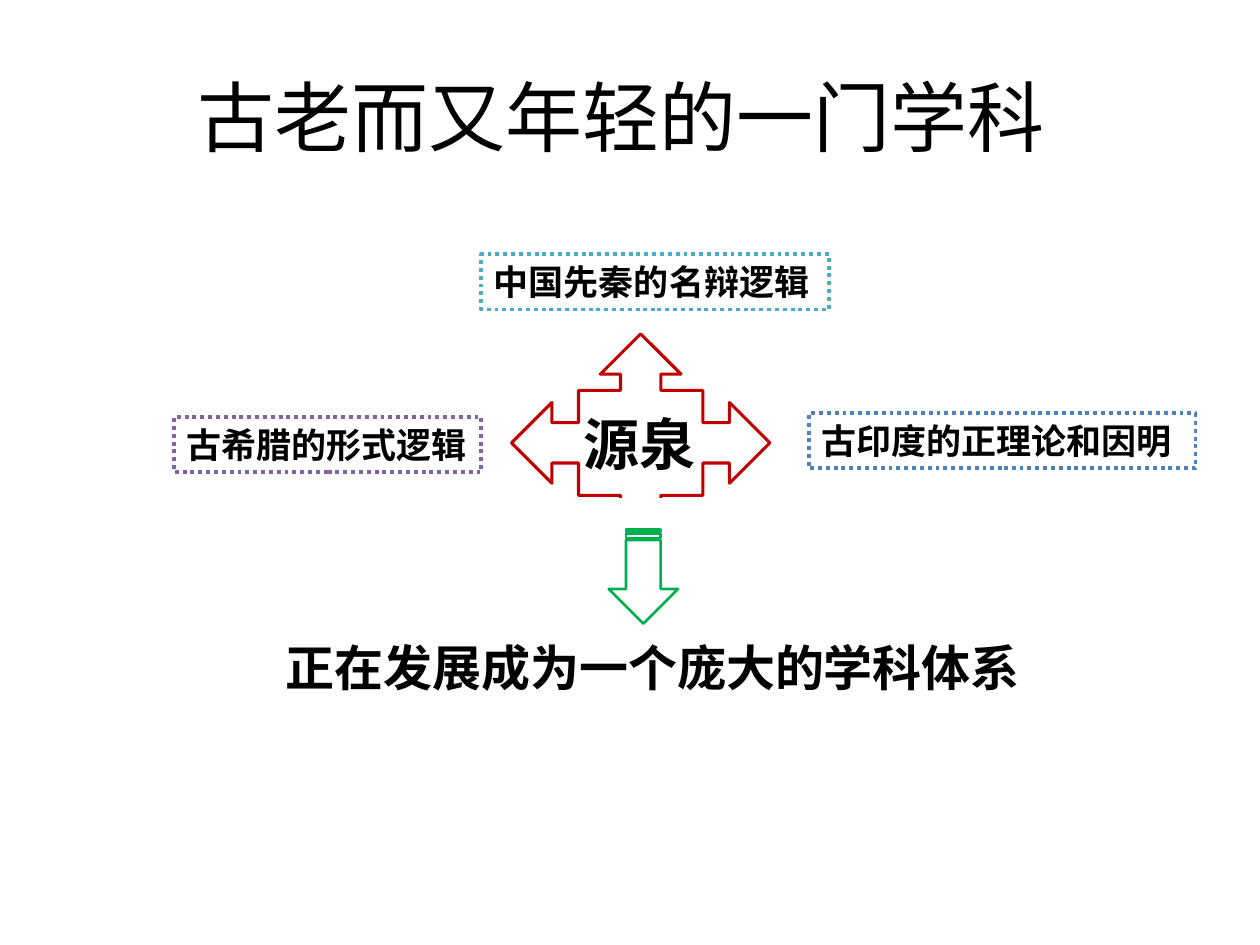
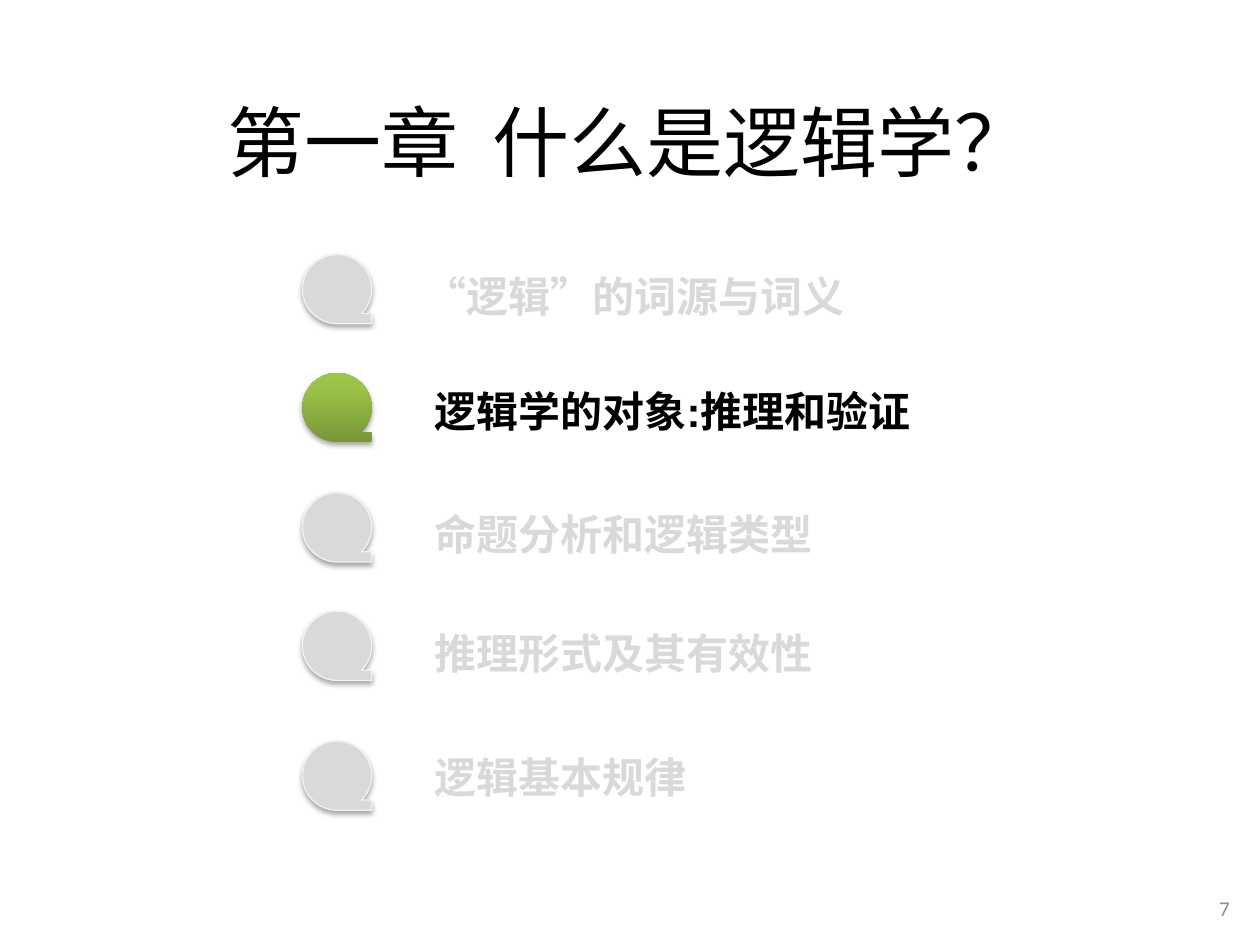
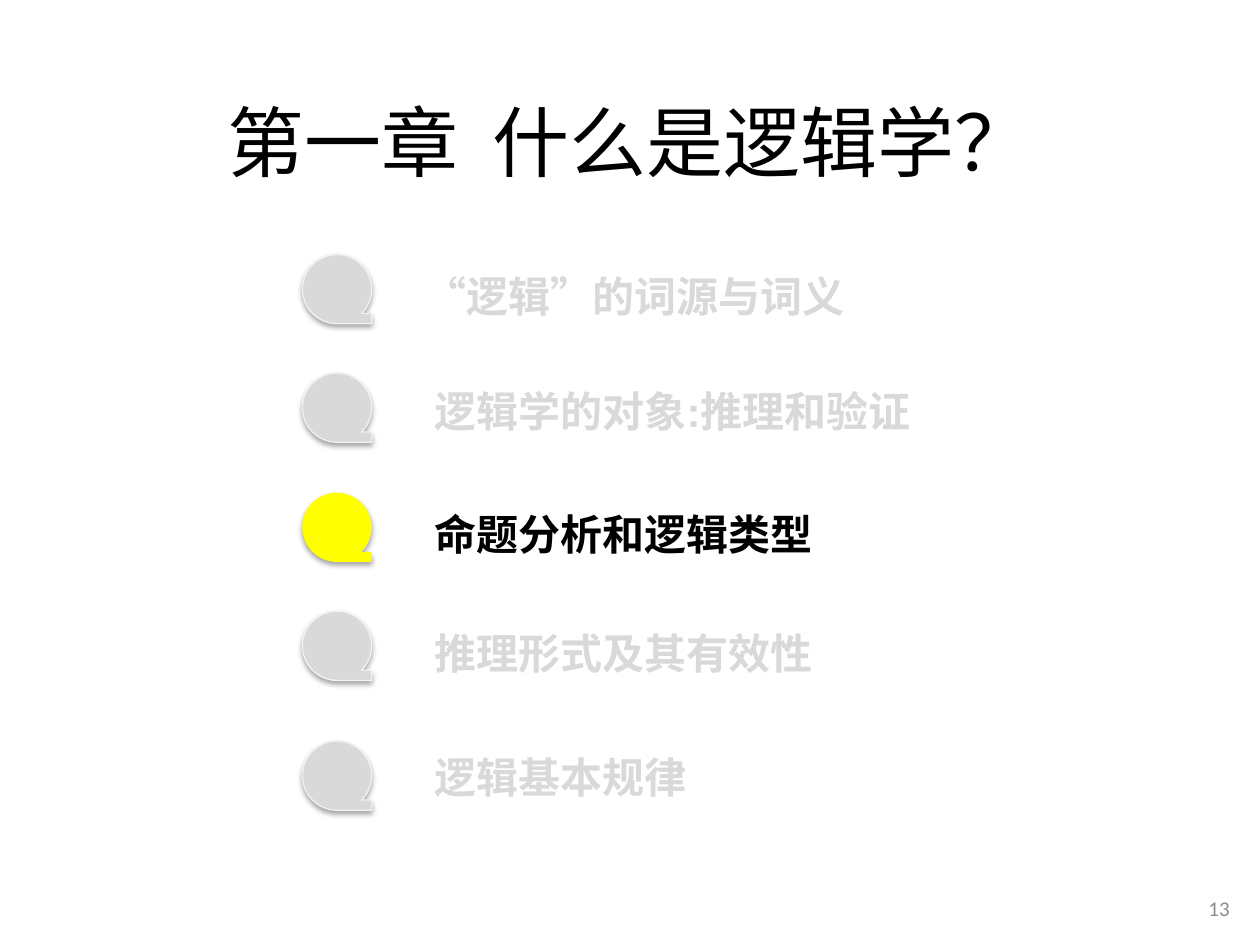
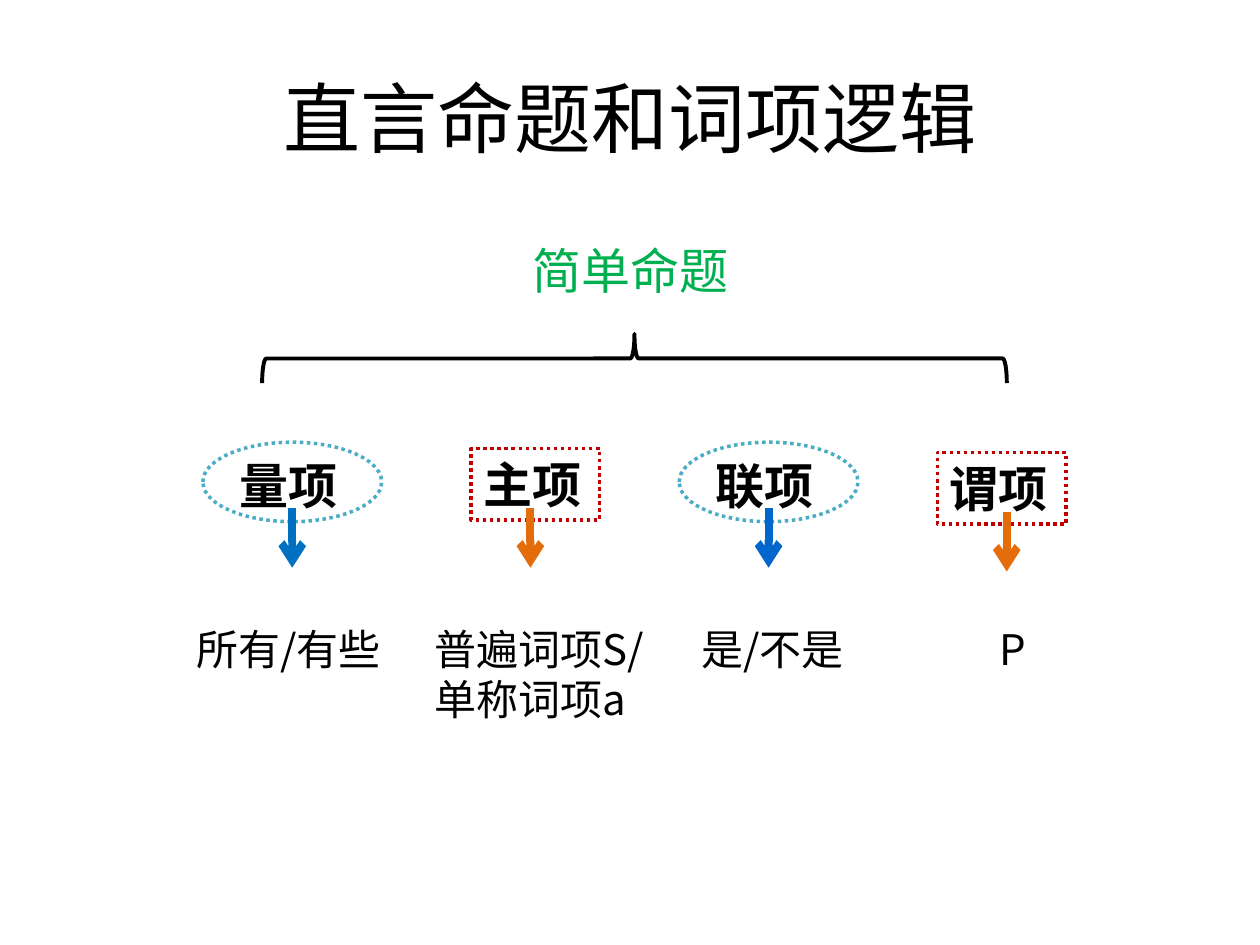
from copy import deepcopy

from lxml import etree
from pptx import Presentation
from pptx.dml.color import RGBColor
from pptx.enum import dml, shapes, text
from pptx.oxml import ns
from pptx.util import Pt

# Shared look
C = {
    "black": "000000", "white": "FFFFFF", "muted": "D9D9D9", "edge": "F2F2F2",
    "number": "8C8C8C", "purple": "8064A2", "blue": "4F81BD", "teal": "4BACC6",
    "red": "C00000", "green": "00B050", "yellow": "FFFF00", "orange": "E46C0A",
    "azure": "0070C0", "royal": "0066CC",
    "leaf_dark": "779737", "leaf": "9BC348", "leaf_light": "9DC746",
}
SC, JP = "Noto Sans CJK SC", "Noto Sans CJK JP"
SHAPE = shapes.MSO_SHAPE
LEFT, CENTER, RIGHT = text.PP_ALIGN.LEFT, text.PP_ALIGN.CENTER, text.PP_ALIGN.RIGHT
TOP, MIDDLE = text.MSO_ANCHOR.TOP, text.MSO_ANCHOR.MIDDLE

prs = Presentation()
prs.slide_width, prs.slide_height = Pt(720), Pt(540)


def rgb(name):
    return RGBColor.from_string(C[name])


def add_slide():
    return prs.slides.add_slide(prs.slide_layouts[6])


def write(sp, words, size, font, color="black", bold=False, align=LEFT,
          anchor=TOP, spacing=None, grow=True):
    """Put words into a shape and style every run alike."""
    tf = sp.text_frame
    tf.text = words
    tf.word_wrap = True
    tf.vertical_anchor = anchor
    if grow:
        tf.auto_size = text.MSO_AUTO_SIZE.SHAPE_TO_FIT_TEXT
    for p in tf.paragraphs:
        p.alignment = align
        if spacing:
            p.line_spacing = spacing
        for r in p.runs:
            r.font.size, r.font.bold, r.font.name = Pt(size), bold, font
            r.font.color.rgb = rgb(color)
            ea = etree.SubElement(r.font._element, ns.qn("a:ea"))
            ea.set("typeface", font if font == JP else SC)


def label(s, box, words, size, font, **style):
    sp = s.shapes.add_textbox(*map(Pt, box))
    write(sp, words, size, font, **style)


def shape(s, kind, box, fill=None, line=None, width=1, dotted=False):
    sp = s.shapes.add_shape(kind, *map(Pt, box))
    sp.shadow.inherit = False
    if fill:
        sp.fill.solid()
        sp.fill.fore_color.rgb = rgb(fill)
    else:
        sp.fill.background()
    if line:
        sp.line.color.rgb = rgb(line)
        sp.line.width = Pt(width)
        if dotted:
            sp.line.dash_style = dml.MSO_LINE.ROUND_DOT
    else:
        sp.line.fill.background()
    return sp


def title(s, box, words, spacing=None):
    label(s, box, words, 44, JP, align=CENTER, anchor=MIDDLE,
          spacing=spacing, grow=False)


def down_arrow(s, x, y, length, color):
    ln = s.shapes.add_connector(shapes.MSO_CONNECTOR.STRAIGHT,
                                Pt(x), Pt(y), Pt(x), Pt(y + length))
    ln.line.color.rgb = rgb(color)
    ln.line.width = Pt(4.5)
    tail = etree.SubElement(ln.line._get_or_add_ln(), ns.qn("a:tailEnd"))
    tail.set("type", "arrow")
    etree.SubElement(ln._element.spPr, ns.qn("a:effectLst"))


def drop_shadow(sp):
    effects = sp._element.spPr.find(ns.qn("a:effectLst"))
    shadow = etree.SubElement(effects, ns.qn("a:outerShdw"), blurRad=str(Pt(3.1)),
                              dist=str(Pt(1.8)), dir="5400000", rotWithShape="0")
    color = etree.SubElement(shadow, ns.qn("a:srgbClr"), val=C["black"])
    etree.SubElement(color, ns.qn("a:alpha"), val="35000")


def leaf_gradient(sp):
    sp.fill.gradient()
    sp.fill.gradient_angle = 90
    stops = sp._element.spPr.find(ns.qn("a:gradFill")).find(ns.qn("a:gsLst"))
    stops.insert(1, deepcopy(stops[0]))
    for stop, position, name in zip(sp.fill.gradient_stops, (0, 0.8, 1),
                                    ("leaf_dark", "leaf", "leaf_light")):
        stop.position = position
        stop.color.rgb = rgb(name)


# Sources of logic: a three-way callout with a dotted box at each tip
def sources(s, box):
    x, y = box[:2]
    for dx, dy, w, color, words in (
            (0, 92.9, 175.7, "purple", "古希腊的形式逻辑"),
            (362.8, 90.8, 221, "blue", "古印度的正理论和因明"),
            (175.7, 0, 198.7, "teal", "中国先秦的名辩逻辑")):
        sp = shape(s, SHAPE.RECTANGLE, (x + dx, y + dy, w, 31.5),
                   "white", color, 2.25, True)
        write(sp, words, 20, "Calibri", bold=True)
    shape(s, SHAPE.QUAD_ARROW_CALLOUT, (x + 192.9, y + 45.4, 147.6, 124.6),
          line="red", width=1.75)
    label(s, (x + 226.8, y + 85, 187.2, 46.1), "源泉", 32, SC, bold=True)
    # White block closes off the callout's lower arm
    shape(s, SHAPE.RECTANGLE, (x + 215.2, y + 141.9, 108, 73.4),
          "white", "white", 5.75)
    label(s, (x + 56.8, y + 215.3, 550, 41), "正在发展成为一个庞大的学科体系",
          28, SC, bold=True)
    sp = shape(s, SHAPE.STRIPED_RIGHT_ARROW, (x + 241.2, y + 164.2, 54, 39.6),
               line="green", width=1.5)
    sp.rotation = 90


# Chapter agenda: (bullet top, label left, label top, words)
AGENDA = (
    (0, 62.6, 5.8, "“逻辑”的词源与词义"),
    (67.7, 68.4, 71.3, "逻辑学的对象:推理和验证"),
    (136.1, 68.4, 141.9, "命题分析和逻辑类型"),
    (203.8, 68.4, 209.6, "推理形式及其有效性"),
    (278, 68.4, 280.8, "逻辑基本规律"),
)


def agenda(s, box, active, fill=None, calibri=()):
    x, y = box[:2]
    for i, (top, dx, dy, words) in enumerate(AGENDA):
        on = i == active
        sp = shape(s, SHAPE.FLOWCHART_SEQUENTIAL_ACCESS_STORAGE,
                   (x, y + top, 39.6, 39.6), fill if on else "muted",
                   None if on else "edge", 0.75)
        if on and not fill:
            leaf_gradient(sp)
        drop_shadow(sp)
        label(s, (x + dx, y + dy, 402.5, 36), words, 24,
              "Calibri" if i in calibri else "Arial",
              color="black" if on else "muted", bold=True)


def chapter_slide(number, active, **style):
    s = add_slide()
    label(s, (681, 504.7, 28.8, 28.8), str(number), 12, "Calibri",
          color="number", align=RIGHT, anchor=MIDDLE, grow=False)
    title(s, (36, 22.3, 648, 89.3), "第一章  什么是逻辑学？", 1.5)
    agenda(s, (172.8, 145.4, 471, 318), active, **style)


# Parts of a simple proposition: four equal columns under a brace
def term(s, cx, y, words, round_box, arrow, shift, drop):
    if round_box:
        shape(s, SHAPE.OVAL, (cx - 51.1, y, 102.2, 45.4), "white", "teal", 2, True)
        label(s, (cx - 37.4, y + 4.3, 90.7, 41), words, 28, SC, bold=True)
    else:
        sp = shape(s, SHAPE.RECTANGLE, (cx - shift, y + 3.6 + drop, 73.4, 41),
                   line="red", width=2, dotted=True)
        write(sp, words, 28, SC, bold=True)
    down_arrow(s, cx, y + 37.5 + drop, 34.2, arrow)


def proposition(s, box):
    x, y, w, _ = box
    step = w / 3
    label(s, (x + 130.4, y, 141.8, 41), "简单命题", 28, JP, color="green")
    # The brace is drawn upright, then turned about its centre
    sp = shape(s, SHAPE.LEFT_BRACE, (x + 181.5, y - 141.8, 28.1, 425.5),
               line="black", width=2.25)
    sp.rotation = 90
    for i, (words, round_box, arrow, shift, drop, dx, width, height, value) in enumerate((
            ("量项", True, "azure", 0, 0, 62, 124.6, 36, "所有/有些"),
            ("主项", False, "orange", 33.8, 0, 61.9, 136.1, 65.5, "普遍词项S/\n单称词项a"),
            ("联项", True, "royal", 0, 0, 45.4, 124.6, 36, "是/不是"),
            ("谓项", False, "orange", 39.6, 2.2, 11.5, 73.4, 36, "P"))):
        cx = x + i * step
        term(s, cx, y + 118.8, words, round_box, arrow, shift, drop)
        label(s, (cx - dx, y + 218.7, width, height), value, 24, JP)


# Slides
s = add_slide()
title(s, (31, 20.9, 648, 90), "古老而又年轻的一门学科")
sources(s, (99.4, 145.4, 607, 257))

chapter_slide(7, 1)
chapter_slide(13, 2, fill="yellow", calibri=(0, 2))

s = add_slide()
title(s, (36, 21.6, 648, 90), "直言命题和词项逻辑")
proposition(s, (167, 133.9, 408.3, 284))

prs.save("out.pptx")
